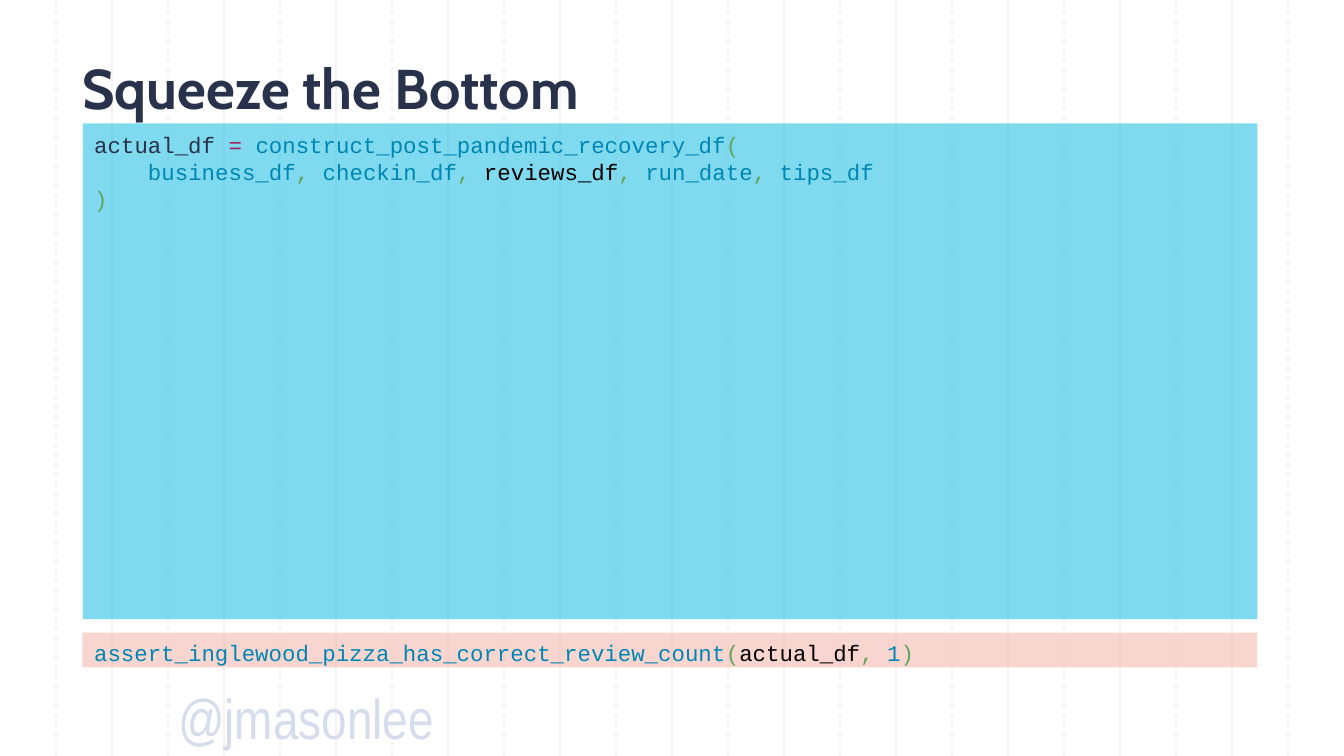
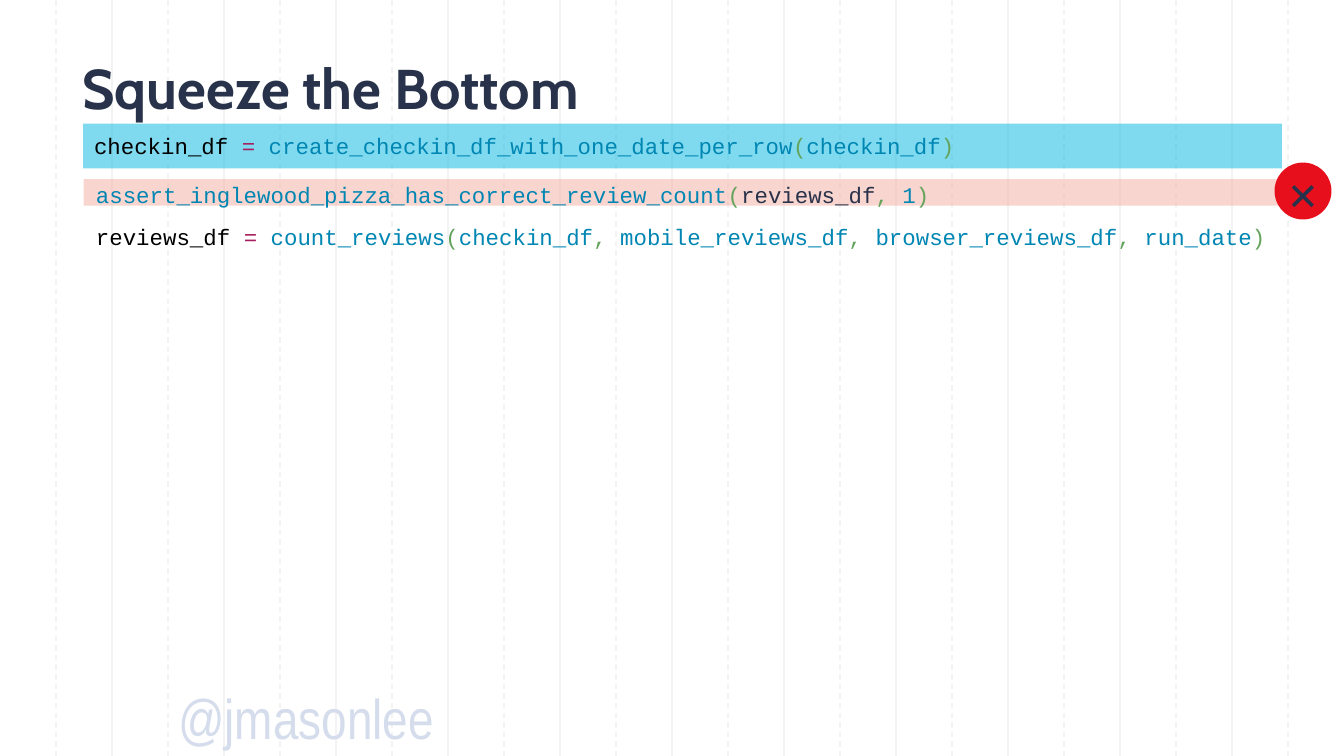
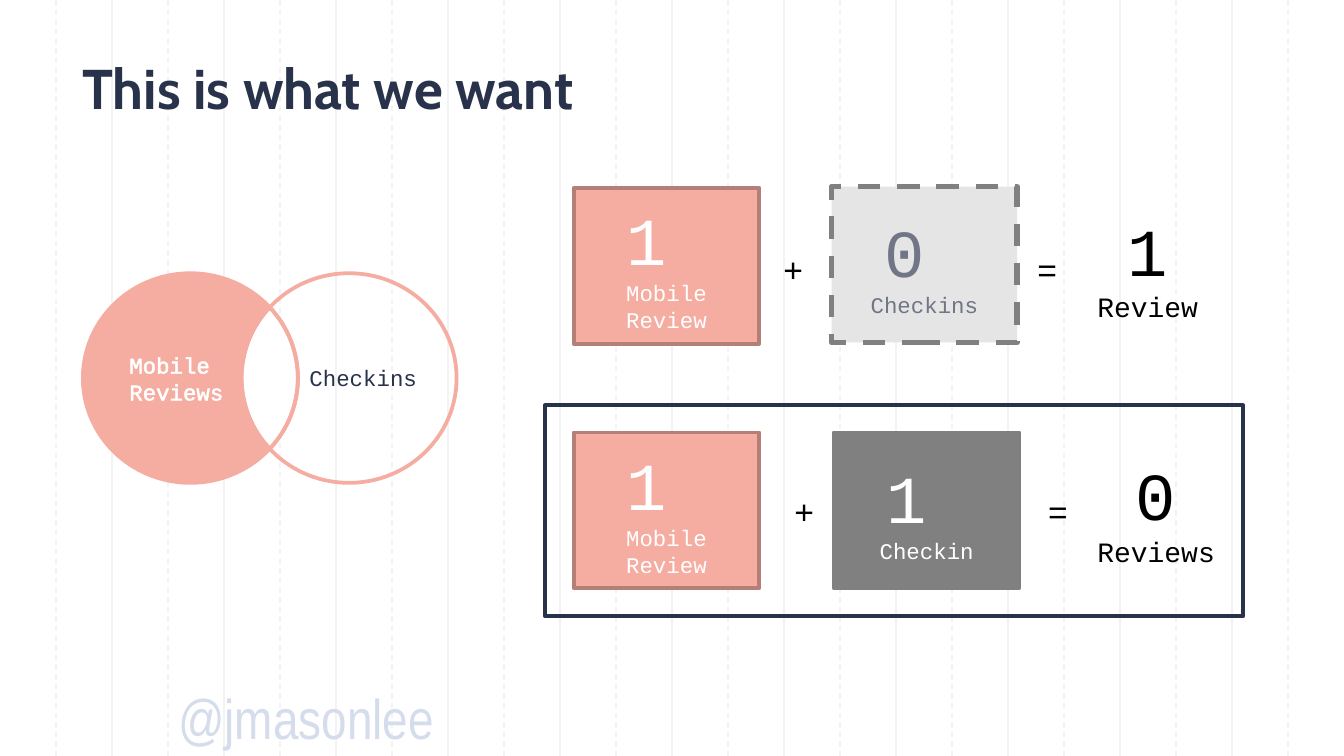
from dataclasses import dataclass
from math import acos, ceil, cos, pi, sin, tan

from lxml import etree
from pptx import Presentation
from pptx.dml.color import RGBColor
from pptx.enum.dml import MSO_LINE
from pptx.enum.shapes import MSO_CONNECTOR, MSO_SHAPE
from pptx.enum.text import MSO_ANCHOR, PP_ALIGN
from pptx.oxml.ns import qn
from pptx.util import Pt

RECT, OVAL = MSO_SHAPE.RECTANGLE, MSO_SHAPE.OVAL
STRAIGHT, DASH = MSO_CONNECTOR.STRAIGHT, MSO_LINE.DASH
TOP, MIDDLE = MSO_ANCHOR.TOP, MSO_ANCHOR.MIDDLE
LEFT, CENTER = PP_ALIGN.LEFT, PP_ALIGN.CENTER


@dataclass(frozen=True)
class Theme:
    width: int = 720
    height: int = 405
    # Colours
    navy: str = "28324A"
    black: str = "000000"
    white: str = "FFFFFF"
    grid: str = "F3F3F3"
    handle: str = "D5DDEC"
    name: str = "0086B3"
    punct: str = "63A35C"
    operator: str = "A71D5D"
    cyan: str = "00B6E0"
    salmon: str = "F5ACA1"
    salmon_dark: str = "B57F77"
    gray: str = "808080"
    gray_light: str = "E5E5E5"
    gray_text: str = "707685"
    red: str = "E80F1C"
    # Fonts and sizes
    heading: str = "Cabin"
    mono: str = "Courier New"
    symbol: str = "Inter"
    narrow: str = "Arial Narrow"
    title: int = 30
    code: int = 12
    unit: int = 15
    sign: int = 18
    mark: int = 24
    count: int = 36


T = Theme()
INSETS = (7.2, 3.6, 7.2, 3.6)
NO_INSETS = (0, 0, 0, 0)


# --- Shared helpers ---

def rgb(value):
    return RGBColor.from_string(value)


def place(box):
    return [Pt(v) for v in box]


def paint(sp, fill=None, line=None, weight=2, dash=None, alpha=None):
    """Set fill and outline, and drop the shadow."""
    sp.shadow.inherit = False
    if fill:
        sp.fill.solid()
        sp.fill.fore_color.rgb = rgb(fill)
        if alpha:
            color = sp.fill._xPr.find(qn("a:solidFill"))[0]
            etree.SubElement(color, qn("a:alpha"), val=str(alpha * 1000))
    else:
        sp.fill.background()
    if line:
        sp.line.color.rgb = rgb(line)
        sp.line.width = Pt(weight)
        if dash:
            sp.line.dash_style = dash
    else:
        sp.line.fill.background()


def shape(shapes, kind, box, **style):
    sp = shapes.add_shape(kind, *place(box))
    paint(sp, **style)
    return sp


def frame(sp, anchor=TOP, insets=INSETS, wrap=True):
    tf = sp.text_frame
    tf.word_wrap = wrap
    tf.vertical_anchor = anchor
    tf.margin_left, tf.margin_top, tf.margin_right, tf.margin_bottom = place(insets)
    return tf


def add_run(p, text, size, color, font=T.mono, bold=False):
    r = p.add_run()
    r.text = text
    r.font.name, r.font.size, r.font.bold = font, Pt(size), bold
    r.font.color.rgb = rgb(color)
    return r


def write(tf, lines, align=LEFT, spacing=None, **style):
    """Write one paragraph for each (text, size, color)."""
    for i, (text, size, color) in enumerate(lines):
        p = tf.add_paragraph() if i else tf.paragraphs[0]
        p.alignment = align
        if spacing:
            p.line_spacing = spacing
        add_run(p, text, size, color, **style)


def text_box(s, box, lines, anchor=TOP, insets=INSETS, wrap=True, **style):
    sp = s.shapes.add_textbox(*place(box))
    write(frame(sp, anchor, insets, wrap), lines, **style)
    return sp


# --- Base of every slide ---

def grid(s):
    group = s.shapes.add_group_shape()
    for i in range(1, 24):
        x = Pt(i * T.width / 24)
        line = group.shapes.add_connector(STRAIGHT, x, 0, x, Pt(T.height))
        line.line.color.rgb = rgb(T.grid)
        line.line.width = Pt(0.75)
        if i % 2:
            line.line.dash_style = DASH
        etree.SubElement(line._element.spPr, qn("a:effectLst"))
    return group


def handle(s):
    return text_box(s, (95.5, 366, 150, 38), [("@jmasonlee", T.title, T.handle)],
                    insets=NO_INSETS, wrap=False, font=T.narrow)


def fill_layout(s):
    """Move the shared background parts from a slide to its layout."""
    tree = s.slide_layout.shapes._spTree
    for part in (grid(s), handle(s)):
        tree.append(part._element)


def base_slide(prs, title):
    s = prs.slides.add_slide(prs.slide_layouts[6])
    if len(prs.slides) == 1:
        fill_layout(s)
    text_box(s, (44, 31.7, 630, 34.6), [(title, T.title, T.navy)], anchor=MIDDLE,
             insets=NO_INSETS, spacing=0.9, font=T.heading, bold=True)
    return s


# --- Code slides ---

def band(s, box, color):
    shape(s.shapes, RECT, box, fill=color, alpha=50)


def code(s, box, *lines, wrap=True):
    """Write code lines made of (text, color) tokens."""
    p = frame(s.shapes.add_textbox(*place(box)), wrap=wrap).paragraphs[0]
    for i, tokens in enumerate(lines):
        if i:
            p.add_line_break()
        for text, color in tokens:
            add_run(p, text, T.code, color)


def call(function, *args):
    """Tokens of a function call; each argument is a (text, color) pair."""
    return [(function, T.name), ("(", T.punct), *comma_list(args), (")", T.punct)]


def comma_list(args):
    tokens = []
    for arg in args:
        tokens += [(", ", T.punct), arg]
    return tokens[1:]


def names(*words):
    return [(word, T.name) for word in words]


def review_assert(df, color):
    return call("assert_inglewood_pizza_has_correct_review_count",
                (df, color), ("1", T.name))


def failure_badge(s, x, y, size):
    shapes = s.shapes.add_group_shape().shapes
    shape(shapes, OVAL, (x, y, size, size), fill=T.red)
    label = shape(shapes, RECT, (x + size / 8, y + size / 4, size * 0.75, size / 2),
                  fill=T.red)
    write(frame(label, MIDDLE, NO_INSETS), [("✗", T.mark, T.navy)],
          align=CENTER, spacing=1.11, font=T.symbol)


def whole_function_slide(prs):
    s = base_slide(prs, "Squeeze the Bottom")
    band(s, (44.4, 66.2, 629.2, 265.5), T.cyan)
    band(s, (44.1, 339, 629.4, 18.6), T.salmon)
    code(s, (43.3, 339.1, 579.6, 21.6), review_assert("actual_df", T.black))
    args = names("business_df", "checkin_df", "reviews_df", "run_date", "tips_df")
    args[2] = ("reviews_df", T.black)
    code(s, (36.2, 66.7, 478.8, 51.1),
         [(" ", T.punct), ("actual_df", T.navy), (" = ", T.operator),
          ("construct_post_pandemic_recovery_df", T.name), ("(", T.punct)],
         [("     ", T.punct), *comma_list(args)],
         [(" ", T.name), (")", T.punct)])


def narrowed_slide(prs):
    s = base_slide(prs, "Squeeze the Bottom")
    band(s, (44.8, 96, 642.6, 14.2), T.salmon)
    band(s, (44.5, 66.2, 642.3, 24), T.cyan)
    code(s, (44.3, 93.4, 579.6, 21.6), review_assert("reviews_df", T.navy))
    code(s, (43.3, 67.2, 643.7, 21.6),
         [("checkin_df ", T.black), ("= ", T.operator),
          *call("create_checkin_df_with_one_date_per_row", *names("checkin_df"))])
    code(s, (44.3, 116.2, 651.6, 21.6),
         [("reviews_df ", T.black), ("= ", T.operator),
          *call("count_reviews", *names("checkin_df", "mobile_reviews_df",
                                        "browser_reviews_df", "run_date"))],
         wrap=False)
    failure_badge(s, 682.8, 87.1, 30.5)


# --- Venn diagram ---

def arc(cx, cy, rx, ry, start, end):
    """Bezier curves, each four points long, at most a quarter turn each."""
    n = ceil(abs(end - start) / (pi / 2))
    step = (end - start) / n
    k = 4 / 3 * tan(step / 4)
    curves = []
    for i in range(n):
        a, b = start + i * step, start + (i + 1) * step
        unit = [(cos(a), sin(a)), (cos(a) - k * sin(a), sin(a) + k * cos(a)),
                (cos(b) + k * sin(b), sin(b) - k * cos(b)), (cos(b), sin(b))]
        curves.append([(cx + rx * u, cy + ry * v) for u, v in unit])
    return curves


def region(s, box, curves, fill=None):
    """A freeform that fills the box and is bounded by the curves."""
    x, y, w, h = box
    builder = s.shapes.build_freeform(Pt(x), Pt(y))
    builder.add_line_segments([(Pt(x + w), Pt(y)), (Pt(x + w), Pt(y + h)),
                               (Pt(x), Pt(y + h))])
    sp = builder.convert_to_shape()
    outline = next(sp._element.iter(qn("a:path")))
    del outline[:]

    def draw(tag, points):
        command = etree.SubElement(outline, qn(tag))
        for px, py in points:
            etree.SubElement(command, qn("a:pt"),
                             x=str(int(Pt(px - x))), y=str(int(Pt(py - y))))

    draw("a:moveTo", curves[0][:1])
    for curve in curves:
        draw("a:cubicBezTo", curve[1:])
    draw("a:close", [])
    paint(sp, fill=fill, line=T.salmon)
    return sp


def outline_text(r, color):
    ln = etree.Element(qn("a:ln"), w=str(int(Pt(0.75))))
    fill = etree.SubElement(ln, qn("a:solidFill"))
    etree.SubElement(fill, qn("a:srgbClr"), val=color)
    r.font._element.insert(0, ln)


def venn(s, x, y, width, height, gap):
    """Two ellipses whose centres lie gap apart, cut into three regions."""
    rx, ry = (width - gap) / 2, height / 2
    mobile = (x + rx, y + ry, rx, ry)
    checkins = (x + rx + gap, y + ry, rx, ry)
    t = acos(gap / 2 / rx)
    half, lens = width / 2, ry * sin(t)
    region(s, (x + gap, y + ry - lens, 2 * rx - gap, 2 * lens),
           arc(*mobile, -t, t) + arc(*checkins, pi - t, pi + t), T.white)
    left = region(s, (x, y, half, height),
                  arc(*mobile, t, 2 * pi - t) + arc(*checkins, pi + t, pi - t),
                  T.salmon)
    right = region(s, (x + half, y, half, height),
                   arc(*checkins, pi + t, 3 * pi - t) + arc(*mobile, t, -t))
    write(frame(left, MIDDLE), [("Mobile ", T.code, T.white),
                                ("Reviews", T.code, T.white)], align=CENTER)
    for p in left.text_frame.paragraphs:
        outline_text(p.runs[0], T.white)
    write(frame(right, MIDDLE), [("Checkins", T.code, T.navy)], align=CENTER)


# --- Equations ---

def card(s, x, y, count, label, color, **style):
    sp = shape(s.shapes, RECT, (x, y, 99.4, 83.5), **style)
    write(frame(sp, MIDDLE), [(count + " ", T.count, color), (label, T.code, color)],
          align=CENTER)


def equation(s, x, y, sign_at, checkin_at, checkin, result, result_width):
    """Mobile review card + checkin card = result; the offsets start at x, y."""
    card(s, x, y, "1", "Mobile Review", T.white, fill=T.salmon, line=T.salmon_dark)
    for i, sign in enumerate("+="):
        text_box(s, (x + sign_at[0] + i * 136, y + sign_at[1], 25.2, 28.8),
                 [(sign, T.sign, T.black)], wrap=False)
    card(s, x + checkin_at[0], y + checkin_at[1], **checkin)
    count, label = result
    text_box(s, (x + 273, y + 7.8, result_width, 69.1),
             [(count, T.count, T.black), (label, T.unit, T.black)],
             wrap=False, align=CENTER)


def goal_slide(prs):
    s = base_slide(prs, "This is what we want")
    venn(s, 44.4, 146.4, 200.2, 112.3, gap=85)
    no_checkin = dict(count="0", label="Checkins", color=T.gray_text,
                      fill=T.gray_light, line=T.gray, weight=3, dash=DASH)
    one_checkin = dict(count="1", label="Checkin", color=T.white,
                       fill=T.gray, line=T.gray)
    equation(s, 307.3, 100.7, (105.2, 29.3), (138.2, -0.7), no_checkin,
             ("1", "Review"), 69.1)
    equation(s, 307.3, 231.7, (111, 27.9), (139.4, 0), one_checkin,
             ("0", "Reviews"), 78.1)
    # Frame around the second equation
    shape(s.shapes, RECT, (291.9, 217.2, 374.1, 113), line=T.navy)


def main():
    prs = Presentation()
    prs.slide_width, prs.slide_height = Pt(T.width), Pt(T.height)
    whole_function_slide(prs)
    narrowed_slide(prs)
    goal_slide(prs)
    prs.save("out.pptx")


if __name__ == "__main__":
    main()
